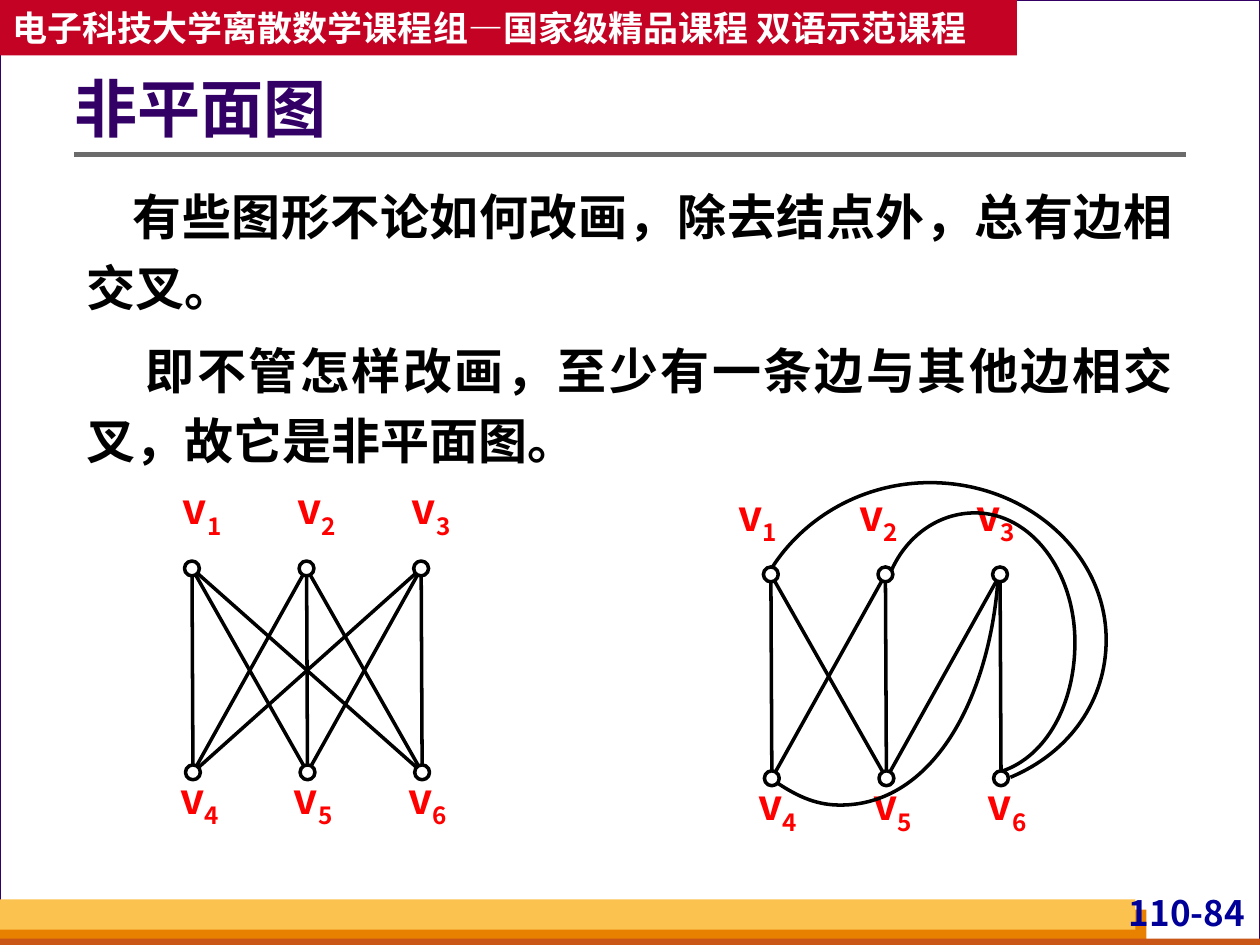
import dataclasses
import itertools

import lxml.etree
import pptx
import pptx.dml.color
import pptx.enum.shapes
import pptx.enum.text
import pptx.oxml.ns
import pptx.util

Cm = pptx.util.Cm
Pt = pptx.util.Pt
qn = pptx.oxml.ns.qn
RGB = pptx.dml.color.RGBColor.from_string
ALIGN = pptx.enum.text.PP_ALIGN
ANCHOR = pptx.enum.text.MSO_ANCHOR
SHAPE = pptx.enum.shapes.MSO_SHAPE
STRAIGHT = pptx.enum.shapes.MSO_CONNECTOR.STRAIGHT


@dataclasses.dataclass(frozen=True)
class Theme:
    font: str = "Noto Sans CJK SC"
    backdrop: str = "D8DADA"
    paper: str = "FFFFFF"
    ink: str = "000000"
    title: str = "330066"
    banner: str = "C30224"
    rule: str = "6B6B6B"
    gold: str = "FCC24F"
    orange: str = "E88000"
    rust: str = "C95616"
    number: str = "000099"
    label: str = "FF0000"
    title_size: int = 36
    body_size: int = 28
    label_size: int = 24
    small_size: int = 20


theme = Theme()


def paint(shape, fill=None, line=None, width=2):
    shape.shadow.inherit = False
    if fill:
        shape.fill.solid()
        shape.fill.fore_color.rgb = RGB(fill)
    else:
        shape.fill.background()
    if line:
        shape.line.color.rgb = RGB(line)
        shape.line.width = Pt(width)
    else:
        shape.line.fill.background()


def write(box, paragraphs, size, color, margins, frame_format, para_format):
    frame = box.text_frame
    sides = ("margin_left", "margin_top", "margin_right", "margin_bottom")
    values = dict(zip(sides, map(Cm, margins)), word_wrap=True, **frame_format)
    for name, value in values.items():
        setattr(frame, name, value)
    for index, spans in enumerate(paragraphs):
        para = frame.add_paragraph() if index else frame.paragraphs[0]
        for name, value in para_format.items():
            if index or name != "space_before":
                setattr(para, name, value)
        for text in spans:
            span = para.add_run()
            span.text = text
            for name, value in {"name": theme.font, "size": Pt(size), "bold": True}.items():
                setattr(span.font, name, value)
            span.font.color.rgb = RGB(color)
            properties = span._r.get_or_add_rPr()
            lxml.etree.SubElement(properties, qn("a:ea")).set("typeface", theme.font)
            if span.text != spans[0]:
                properties.set("baseline", "-25000")


deck = pptx.Presentation()
deck.slide_width, deck.slide_height = Cm(25.4), Cm(19.05)
page = deck.slides.add_slide(deck.slide_layouts[5])
page.background.fill.solid()
page.background.fill.fore_color.rgb = RGB(theme.backdrop)

panels = [
    (0, 0, 25.4, 19.05, theme.paper, theme.title),
    (0, 18.34, 23.11, 0.71, theme.orange, None),
    (0, 18.92, 25.4, 0.2, theme.rust, None),
    (0, 18.13, 22.89, 0.61, theme.gold, None),
    (0, 0, 20.5, 1.12, theme.banner, None),
]
for left, top, width, height, fill, line in panels:
    panel = page.shapes.add_shape(SHAPE.RECTANGLE, Cm(left), Cm(top), Cm(width), Cm(height))
    paint(panel, fill, line, 0.75)
write(panel, [["电子科技大学离散数学课程组—国家级精品课程 双语示范课程"]], theme.small_size, theme.paper,
      (0.25, 0.13, 0.25, 0.13), {"vertical_anchor": ANCHOR.MIDDLE}, {"alignment": ALIGN.LEFT})

number = page.shapes.add_textbox(Cm(22.1), Cm(17.98), Cm(3.1), Cm(0.97))
write(number, [["110-84"]], theme.small_size, theme.number,
      (0.1, 0, 0.1, 0), {}, {"alignment": ALIGN.RIGHT})

title = page.shapes.title
page.shapes._spTree.append(title._element)
title.left, title.top, title.width, title.height = Cm(1.5), Cm(0.97), Cm(22.4), Cm(2.57)
write(title, [["非平面图"]], theme.title_size, theme.title, (0, 0.13, 0.25, 0.13),
      {"vertical_anchor": ANCHOR.MIDDLE}, {"alignment": ALIGN.LEFT, "line_spacing": 0.9})

body = page.shapes.add_textbox(Cm(1.5), Cm(3.4), Cm(22.4), Cm(6.2))
write(body, [["有些图形不论如何改画，除去结点外，总有边相交叉。"],
             ["即不管怎样改画，至少有一条边与其他边相交叉，故它是非平面图。"]],
      theme.body_size, theme.ink, (0.25, 0.13, 0.25, 0.13), {},
      {"alignment": ALIGN.JUSTIFY, "line_spacing": 1.2, "space_before": Pt(7)})
for para, indent in zip(body.text_frame.paragraphs, (0.93, 1.19)):
    para._p.get_or_add_pPr().set("indent", str(Cm(indent)))

node_gap, row_gap, node_size = 2.31, 4.11, 0.3
graphs = [
    {
        "origin": (3.87, 11.46),
        "labels": [(3.48, 9.73), (5.79, 9.73), (8.1, 9.73),
                   (3.43, 15.57), (5.72, 15.57), (8.03, 15.57)],
        "edges": list(itertools.product((1, 2, 3), (4, 5, 6))),
        "curves": [],
    },
    {
        "origin": (15.54, 11.58),
        "labels": [(14.68, 9.86), (17.12, 9.86), (19.48, 9.86),
                   (15.09, 15.7), (17.4, 15.7), (19.71, 15.7)],
        "edges": [(1, 4), (1, 5), (2, 4), (2, 5), (3, 5), (3, 6)],
        "curves": [
            [(15.62, 15.75), (16.13, 16.1), (16.51, 16.23), (16.94, 16.23),
             (18.8, 16.23), (19.94, 14.1), (20.12, 11.68)],
            [(20.22, 15.54), (21.08, 15.24), (21.67, 14.22), (21.67, 12.95),
             (21.67, 11.51), (20.78, 10.34), (19.66, 10.34),
             (18.92, 10.34), (18.29, 10.8), (17.98, 11.48)],
            [(15.54, 11.48), (16.21, 10.41), (17.42, 9.73), (18.75, 9.73),
             (20.7, 9.73), (22.3, 11.15), (22.3, 12.9),
             (22.3, 14.1), (21.59, 15.16), (20.37, 15.67)],
        ],
    },
]

connectors = [page.shapes.add_connector(STRAIGHT, Cm(1.5), Cm(3.12), Cm(23.9), Cm(3.12))]
connectors[0].line.color.rgb = RGB(theme.rule)
connectors[0].line.width = Pt(3)

for graph in graphs:
    group = page.shapes.add_group_shape()
    left, top = graph["origin"]
    centres = [(left + column * node_gap + row * 0.02, top + row * row_gap)
               for row in range(2) for column in range(3)]

    for index, (x, y) in enumerate(graph["labels"], 1):
        label = group.shapes.add_textbox(Cm(x), Cm(y), Cm(1.19), Cm(1.17))
        write(label, [["v", str(index)]], theme.label_size, theme.label,
              (0, 0, 0, 0), {}, {"alignment": ALIGN.CENTER})

    for start, end in graph["edges"]:
        ends = centres[start - 1] + centres[end - 1]
        edge = group.shapes.add_connector(STRAIGHT, *map(Cm, ends))
        edge.line.color.rgb = RGB(theme.ink)
        edge.line.width = Pt(2)
        connectors.append(edge)

    for points in graph["curves"]:
        first, *rest = [(Cm(x), Cm(y)) for x, y in points]
        builder = group.shapes.build_freeform(*first)
        builder.add_line_segments(rest, close=False)
        curve = builder.convert_to_shape()
        paint(curve, None, theme.ink)
        outline = next(curve._element.iter(qn("a:path")))
        segments = list(outline.iter(qn("a:lnTo")))
        for start in range(0, len(segments), 3):
            cubic = lxml.etree.SubElement(outline, qn("a:cubicBezTo"))
            for segment in segments[start:start + 3]:
                cubic.append(segment[0])
                outline.remove(segment)

    for x, y in centres:
        node = group.shapes.add_shape(SHAPE.OVAL, Cm(x - node_size / 2), Cm(y - node_size / 2),
                                      Cm(node_size), Cm(node_size))
        paint(node, theme.paper, theme.ink)

for connector in connectors:
    lxml.etree.SubElement(connector._element.spPr, qn("a:effectLst"))

deck.save("out.pptx")
